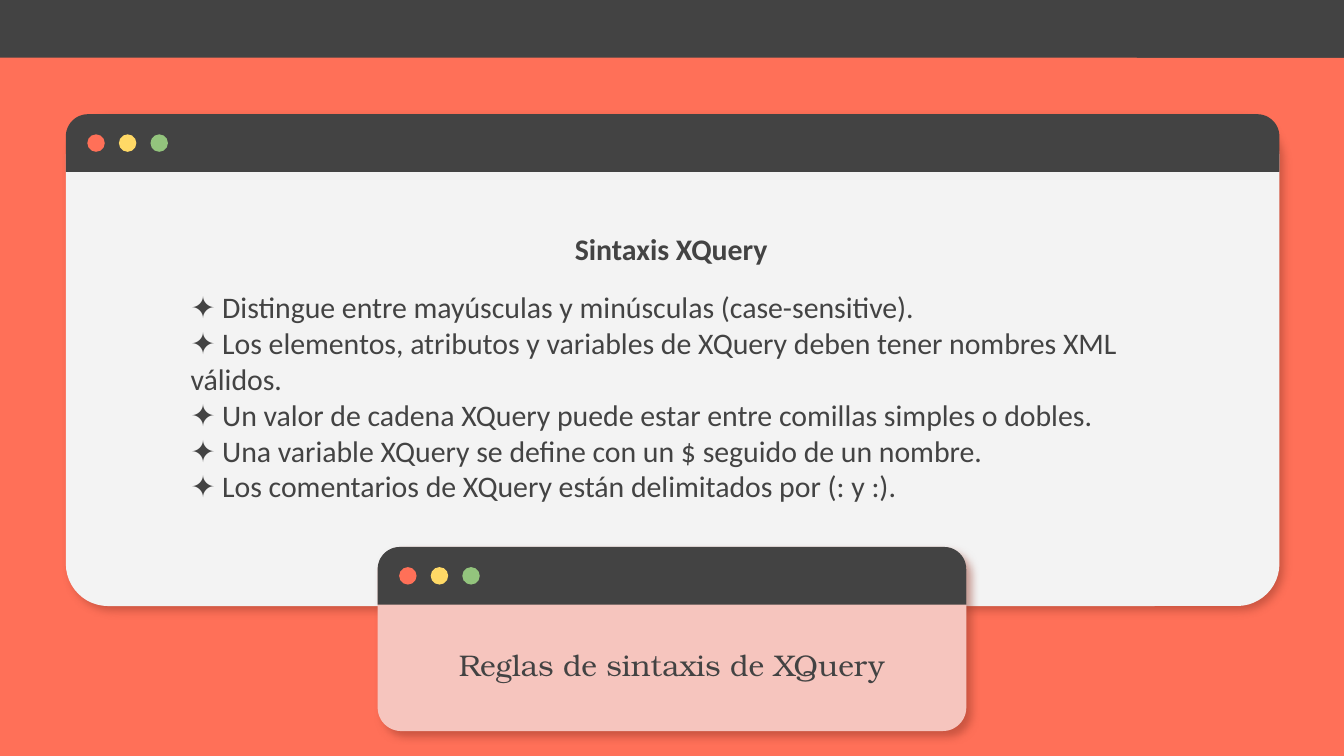
from pptx import Presentation
from pptx.dml.color import RGBColor
from pptx.enum.shapes import MSO_SHAPE as Shape
from pptx.enum.text import MSO_ANCHOR as Anchor, PP_ALIGN as Align
from pptx.oxml import parse_xml
from pptx.oxml.ns import nsdecls
from pptx.util import Inches, Pt

COLORS = {
    "coral": "FF7058",
    "dark": "434343",
    "paper": "F3F3F3",
    "pink": "F6C5BE",
    "yellow": "FFD966",
    "green": "93C47D",
    "shadow": "963A2A",
}
BAR_HEIGHT = 0.43
DOT_SIZE = 0.13
DOT_STEP = 0.47 / 2


def add_block(shapes, kind, left, top, width, height, color, corners=()):
    block = shapes.add_shape(kind, Inches(left), Inches(top), Inches(width), Inches(height))
    block.shadow.inherit = False
    block.fill.solid()
    block.fill.fore_color.rgb = RGBColor.from_string(COLORS[color])
    block.line.fill.background()
    for index, corner in enumerate(corners):
        block.adjustments[index] = corner
    return block


def add_text(page, left, top, width, height, lines, font, align, anchor=Anchor.TOP, bold=False):
    box = page.shapes.add_textbox(Inches(left), Inches(top), Inches(width), Inches(height))
    frame = box.text_frame
    frame.word_wrap = True
    frame.vertical_anchor = anchor
    frame.margin_left = frame.margin_right = Inches(0.1)
    frame.margin_top = frame.margin_bottom = Inches(0.1)
    frame.text = "\n".join(lines)
    for para in frame.paragraphs:
        para.alignment = align
        for span in para.runs:
            span.font.name = font
            span.font.size = Pt(16)
            span.font.bold = bold
            span.font.color.rgb = RGBColor.from_string(COLORS["dark"])


deck = Presentation()
deck.slide_width = Inches(10)
deck.slide_height = Inches(10 * 9 / 16)
page = deck.slides.add_slide(deck.slide_layouts[6])
page.background.fill.solid()
page.background.fill.fore_color.rgb = RGBColor.from_string(COLORS["coral"])

windows = [
    (0.49, 0.85, 9.03, 3.66, "paper", 0.086),
    (2.81, 4.07, 4.38, 1.37, "pink", 0.128),
]
for left, top, width, height, color, corner in windows:
    window = page.shapes.add_group_shape().shapes
    panel = add_block(window, Shape.ROUNDED_RECTANGLE, left, top, width, height, color, [corner])
    effects = panel._element.spPr.find("{*}effectLst")
    effects.append(parse_xml(
        f'<a:outerShdw {nsdecls("a")} blurRad="{Pt(4.5)}" dist="{Pt(3.8)}" dir="{47 * 60000}" '
        f'algn="bl" rotWithShape="0"><a:srgbClr val="{COLORS["shadow"]}">'
        '<a:alpha val="49000"/></a:srgbClr></a:outerShdw>'
    ))
    add_block(window, Shape.ROUND_2_SAME_RECTANGLE, left, top, width, BAR_HEIGHT, "dark", [0.383, 0])
    for index, dot_color in enumerate(["coral", "yellow", "green"]):
        add_block(window, Shape.OVAL, left + 0.16 + index * DOT_STEP, top + 0.15,
                  DOT_SIZE, DOT_SIZE, dot_color)

add_text(page, 2.81, 4.7, 4.38, 0.48, ["Reglas de sintaxis de XQuery"],
         "TeX Gyre Bonum", Align.CENTER, Anchor.BOTTOM)

add_block(page.shapes, Shape.RECTANGLE, 0, 0, 10, BAR_HEIGHT, "dark")
add_block(page.shapes, Shape.RECTANGLE, 8.46, 0, 1.54, BAR_HEIGHT, "dark")

add_text(page, 3.76, 1.62, 2.47, 0.73, ["Sintaxis XQuery"], "Calibri", Align.CENTER, bold=True)

rules = [
    "✦ Distingue entre mayúsculas y minúsculas (case-sensitive).",
    "✦ Los elementos, atributos y variables de XQuery deben tener nombres XML válidos.",
    "✦ Un valor de cadena XQuery puede estar entre comillas simples o dobles.",
    "✦ Una variable XQuery se define con un $ seguido de un nombre.",
    "✦ Los comentarios de XQuery están delimitados por (: y :).",
]
add_text(page, 1.32, 2.05, 7.7, 1.03, rules, "Calibri", Align.LEFT)

deck.save("out.pptx")
